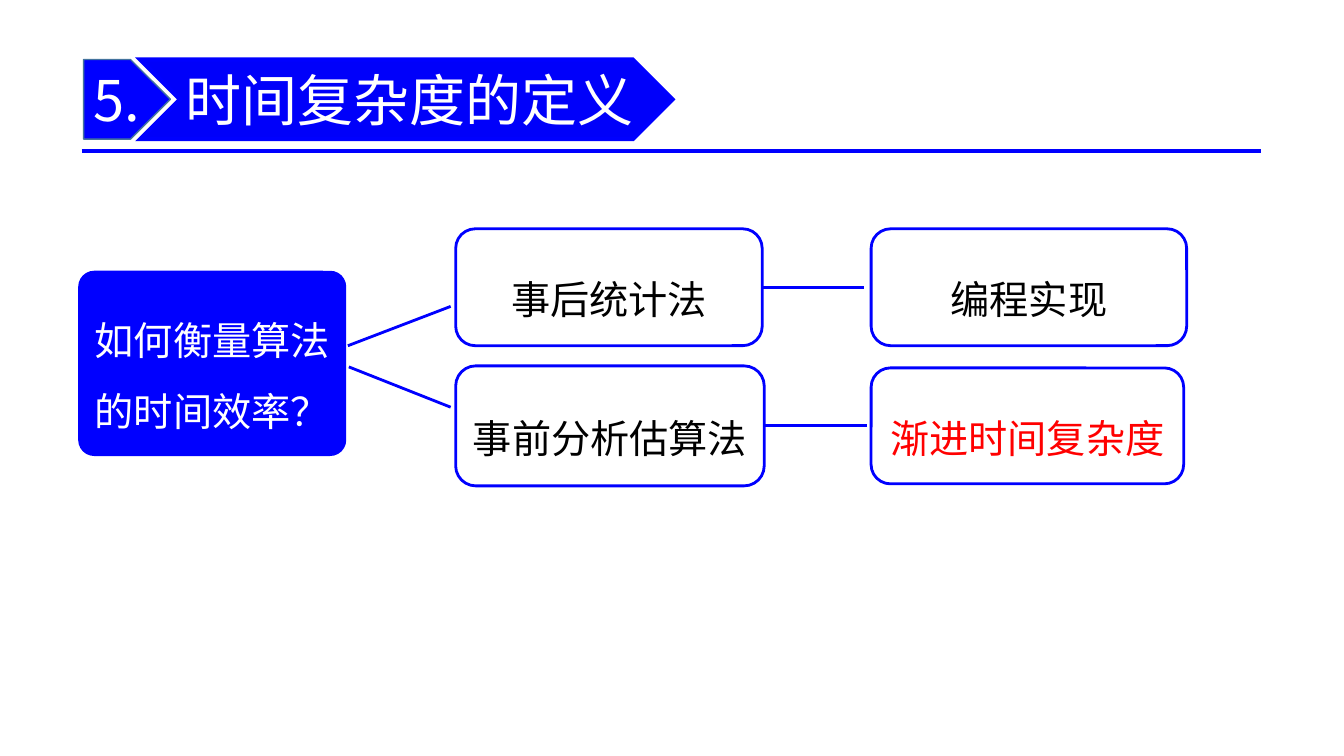
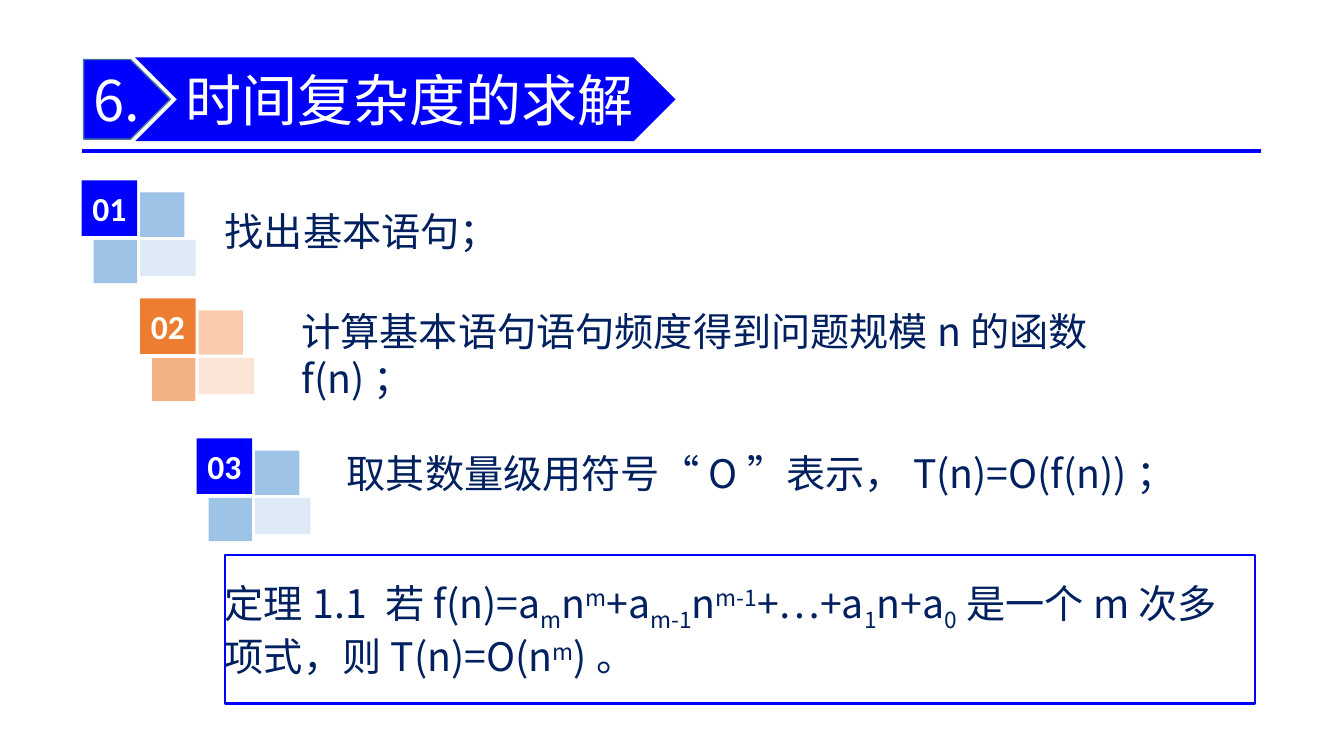
from lxml import etree
from pptx import Presentation
from pptx import util as u
from pptx.dml import color as dml
from pptx.enum import shapes, text
from pptx.oxml import ns

PX = 9144
BLUE, WHITE, NAVY = "0000FF", "FFFFFF", "002060"
CJK = "Noto Sans CJK SC"
LEFT, CENTER = text.PP_ALIGN.LEFT, text.PP_ALIGN.CENTER
KIND = shapes.MSO_SHAPE


def rgb(value):
    return dml.RGBColor.from_string(value)


def write(shape, content, size=28, color=NAVY, font=CJK, bold=False,
          align=LEFT, spacing=None, insets=(10, 5, 10, 5)):
    frame = shape.text_frame
    frame.word_wrap = True
    frame.auto_size = text.MSO_AUTO_SIZE.NONE
    frame.vertical_anchor = text.MSO_ANCHOR.MIDDLE
    frame.margin_left, frame.margin_top, frame.margin_right, frame.margin_bottom = [
        u.Emu(inset * PX) for inset in insets]
    paragraph = frame.paragraphs[0]
    paragraph.alignment = align
    if spacing:
        paragraph.line_spacing = spacing
    pieces = [(content, 0)] if isinstance(content, str) else content
    for words, baseline in pieces:
        run = paragraph.add_run()
        run.text = words
        run.font.size = u.Pt(size)
        run.font.bold = bold
        run.font.name = font
        run.font.color.rgb = rgb(color)
        properties = run._r.get_or_add_rPr()
        etree.SubElement(properties, ns.qn("a:ea"), typeface=font)
        if baseline:
            properties.set("baseline", str(baseline * 1000))


prs = Presentation()
prs.slide_width, prs.slide_height = u.Emu(1333 * PX), u.Emu(750 * PX)
layout = prs.slide_layouts[5]
heading = layout.placeholders[0]
heading.left, heading.top, heading.width, heading.height = [
    u.Emu(v * PX) for v in (180, 44, 450, 108)]


def add_box(slide, box, fill, kind=KIND.RECTANGLE, line=None, weight=2):
    shape = slide.shapes.add_shape(kind, *[u.Emu(v * PX) for v in box])
    shape.shadow.inherit = False
    shape.fill.solid()
    shape.fill.fore_color.rgb = rgb(fill)
    if line:
        shape.line.color.rgb = rgb(line)
        shape.line.width = u.Pt(weight)
        if kind == KIND.CHEVRON:
            outline = shape.element.spPr.find(ns.qn("a:ln"))
            etree.SubElement(outline, ns.qn("a:miter"), lim="800000")
    else:
        shape.line.fill.background()
    return shape


definition, solution = [prs.slides.add_slide(layout) for _ in range(2)]

links = [(81, 150, 1251, 150, 3), (345, 343, 447, 304, 2), (346, 364, 447, 404, 2),
         (755, 285, 857, 285, 2), (758, 422, 860, 422, 2)]
for *ends, weight in links:
    link = definition.shapes.add_connector(
        shapes.MSO_CONNECTOR.STRAIGHT, *[u.Emu(v * PX) for v in ends])
    link.line.color.rgb = rgb(BLUE)
    link.line.width = u.Pt(weight)
    etree.SubElement(link.element.spPr, ns.qn("a:effectLst"))
    if weight == 3:
        layout.shapes.element.append(link.element)

for slide, number, topic in [(definition, "5.", "时间复杂度的定义"),
                             (solution, "6.", "时间复杂度的求解")]:
    tag = add_box(slide, (83, 59, 86, 79), BLUE, KIND.PENTAGON, "43739E", 1)
    write(tag, number, size=40, color=WHITE, insets=(10, 5, 0, 5))
    add_box(slide, (139, 59, 528, 79), "0000FA", KIND.CHEVRON, BLUE, 3)
    title = slide.shapes.title
    write(title, topic, size=40, color=WHITE, insets=(4, 2, 0, 2))
    slide.shapes.element.append(title.element)

nodes = [
    ("如何衡量算法的时间效率？", (79, 270, 263, 181), BLUE, WHITE),
    ("事后统计法", (452, 227, 304, 116), WHITE, "000000"),
    ("事前分析估算法", (452, 363, 306, 119), WHITE, "000000"),
    ("编程实现", (864, 227, 313, 116), WHITE, "000000"),
    ("渐进时间复杂度", (864, 365, 310, 115), WHITE, "FF0000"),
]
for words, box, fill, color in nodes:
    node = add_box(definition, box, fill, KIND.ROUNDED_RECTANGLE, BLUE)
    if fill == BLUE:
        node.adjustments[0] = 0.08
    write(node, words, color=color, align=CENTER, spacing=1.5)

blues = (BLUE, "9DC3E6", "9DC3E6", "DEEBF7")
oranges = ("ED7D31", "F8CBAD", "F4B183", "FBE5D6")
tiles = [(0, 0, 55, 55), (58, 12, 44, 44), (12, 59, 43, 43), (58, 59, 55, 36)]
steps = [
    ("01", 81, 179, blues, "找出基本语句；", (223, 184, 278, 89)),
    ("02", 139, 296, oranges, "计算基本语句语句频度得到问题规模n的函数f(n)；", (299, 307, 872, 89)),
    ("03", 195, 435, blues, "取其数量级用符号“O”表示，T(n)=O(f(n))；", (344, 430, 859, 79)),
]
for number, left, top, palette, words, box in steps:
    write(add_box(solution, box, WHITE), words, insets=(0, 0, 0, 0))
    badge, *_ = [add_box(solution, (left + x, top + y, w, h), fill)
                 for (x, y, w, h), fill in zip(tiles, palette)]
    write(badge, number, size=24, color=WHITE, font="Calibri", bold=True, align=CENTER)

SUB, SUP = -25, 30
theorem = add_box(solution, (223, 551, 1022, 147), WHITE, line=BLUE, weight=1.5)
write(theorem, [
    ("定理1.1 若f(n)=a", 0), ("m", SUB), ("n", 0), ("m", SUP),
    ("+a", 0), ("m-1", SUB), ("n", 0), ("m-1", SUP),
    ("+…+a", 0), ("1", SUB), ("n+a", 0), ("0", SUB),
    ("是一个m次多项式，则T(n)=O(n", 0), ("m", SUP), (")。", 0),
], insets=(0, 0, 0, 0))

prs.save("out.pptx")
